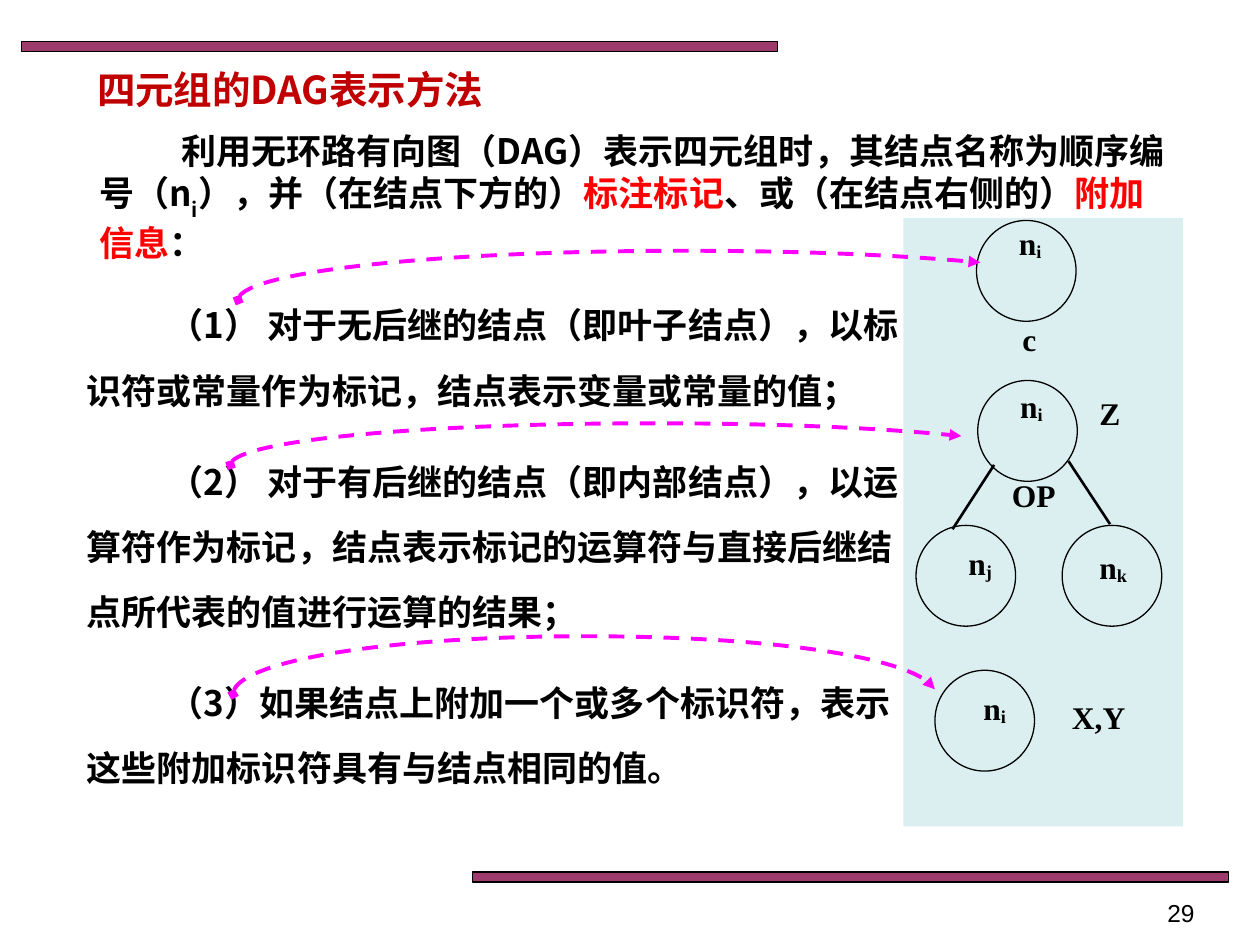
"""Build the slide on representing quadruples as a DAG."""
from itertools import pairwise
from math import acos, cos, pi, sin, tan
from typing import NamedTuple

from lxml.etree import SubElement
from pptx import Presentation
from pptx.dml.color import RGBColor
from pptx.enum.dml import MSO_LINE_DASH_STYLE as Dash
from pptx.enum.shapes import MSO_CONNECTOR as Connector
from pptx.enum.shapes import MSO_SHAPE as Preset
from pptx.enum.text import MSO_ANCHOR as Anchor
from pptx.enum.text import MSO_AUTO_SIZE as AutoSize
from pptx.enum.text import PP_ALIGN as Align
from pptx.oxml.ns import qn
from pptx.util import Inches, Pt

BLACK = RGBColor(0x00, 0x00, 0x00)
RED = RGBColor(0xFF, 0x00, 0x00)
DARK_RED = RGBColor(0xC0, 0x00, 0x00)
PLUM = RGBColor(0x99, 0x33, 0x66)
PALE_TEAL = RGBColor(0xBB, 0xE0, 0xE3)
MAGENTA = RGBColor(0xFF, 0x00, 0xFF)

CHINESE = "Noto Sans CJK SC"
SERIF = "Times New Roman"
NODE_SIZE = (0.79, 0.8)
LABEL_HEIGHT = 0.51


class Span(NamedTuple):
    text: str
    color: RGBColor = BLACK
    baseline: int = 0


class Node(NamedTuple):
    left: float
    top: float


class Label(NamedTuple):
    left: float
    top: float
    width: float
    text: str
    subscript: str = ""


class Arc(NamedTuple):
    left: float
    top: float
    center_x: float
    center_y: float
    end_x: float


class Edge(NamedTuple):
    x1: float
    y1: float
    x2: float
    y2: float


INTRO = [
    Span("利用无环路有向图（DAG）表示四元组时，其结点名称为顺序编号（n"),
    Span("i", baseline=-30),
    Span("），并（在结点下方的）"),
    Span("标注标记", RED),
    Span("、或（在结点右侧的）"),
    Span("附加信息", RED),
    Span("："),
]
RULES = [
    "（1） 对于无后继的结点（即叶子结点），以标识符或常量作为标记，结点表示变量或常量的值；",
    "（2） 对于有后继的结点（即内部结点），以运算符作为标记，"
    "结点表示标记的运算符与直接后继结点所代表的值进行运算的结果；",
    "（3）如果结点上附加一个或多个标识符，表示这些附加标识符具有与结点相同的值。",
]
NODES = [Node(7.75, 1.75), Node(7.42, 5.32), Node(7.76, 3.02), Node(8.43, 4.17), Node(7.27, 4.17)]
LABELS = [
    Label(7.89, 1.73, 0.57, "n", "i"),
    Label(7.92, 2.49, 0.5, "c"),
    Label(7.61, 5.42, 0.57, "n", "i"),
    Label(8.22, 5.49, 1, "X,Y"),
    Label(7.9, 3.02, 0.57, "n", "i"),
    Label(8.56, 3.08, 0.5, "Z"),
    Label(8.57, 4.3, 0.53, "n", "k"),
    Label(7.46, 4.27, 0.64, "n", "j"),
    Label(7.87, 3.73, 0.67, "OP"),
]
EDGES = [Edge(7.89, 3.69, 7.56, 4.2), Edge(8.81, 4.16, 8.48, 3.66)]
ARCS = [
    Arc(1.89, 1.99, 5.46, 2.38, 7.78),
    Arc(1.85, 5.05, 4.64, 5.51, 7.42),
    Arc(1.83, 3.36, 5.2, 3.69, 7.63),
]


def write_text(box, paragraphs: list[list[Span]], *, size: float, font: str = CHINESE,
               bold: bool = True, align=Align.LEFT, indent: float = 0,
               line_spacing: float = 1.0, gap: float = 0) -> None:
    frame = box.text_frame
    frame.word_wrap = True
    frame.auto_size = AutoSize.NONE
    frame.vertical_anchor = Anchor.TOP
    for index, spans in enumerate(paragraphs):
        paragraph = frame.add_paragraph() if index else frame.paragraphs[0]
        paragraph.alignment = align
        paragraph.line_spacing = line_spacing
        paragraph.space_before = Pt(gap if index else 0)
        if indent:
            properties = paragraph._p.get_or_add_pPr()
            properties.set("marL", "0")
            properties.set("indent", str(Inches(indent)))
        for span in spans:
            run = paragraph.add_run()
            run.text = span.text
            run.font.size = Pt(size)
            run.font.bold = bold
            run.font.name = font
            run.font.color.rgb = span.color
            run_properties = run._r.get_or_add_rPr()
            SubElement(run_properties, qn("a:ea"), typeface=font)
            if span.baseline:
                run_properties.set("baseline", str(span.baseline * 1000))


def add_text(shapes, left: float, top: float, width: float, height: float,
             paragraphs: list[list[Span]], **text_format) -> None:
    box = shapes.add_textbox(Inches(left), Inches(top), Inches(width), Inches(height))
    write_text(box, paragraphs, **text_format)


def add_outline(shapes, preset, left: float, top: float, width: float, height: float, *,
                fill: RGBColor | None = None, opacity: int = 100, outlined: bool = True) -> None:
    shape = shapes.add_shape(preset, Inches(left), Inches(top), Inches(width), Inches(height))
    shape.shadow.inherit = False
    if fill is None:
        shape.fill.background()
    else:
        shape.fill.solid()
        shape.fill.fore_color.rgb = fill
        tint = shape._element.spPr.find(qn("a:solidFill"))[0]
        SubElement(tint, qn("a:alpha"), val=str(opacity * 1000))
    if outlined:
        shape.line.color.rgb = BLACK
        shape.line.width = Pt(0.75)
    else:
        shape.line.fill.background()


def add_edge(shapes, edge: Edge) -> None:
    line = shapes.add_connector(Connector.STRAIGHT, *(Inches(value) for value in edge))
    line.line.color.rgb = BLACK
    line.line.width = Pt(1.5)
    SubElement(line._element.spPr, qn("a:effectLst"))


def add_arc(shapes, arc: Arc) -> None:
    radius_x = arc.center_x - arc.left
    radius_y = arc.center_y - arc.top

    def place(angle: float, reach: float = 0) -> tuple[int, int]:
        across = cos(angle) - reach * sin(angle)
        up = sin(angle) + reach * cos(angle)
        return Inches(arc.center_x + radius_x * across), Inches(arc.center_y - radius_y * up)

    angles = [pi, pi / 2, acos((arc.end_x - arc.center_x) / radius_x)]
    builder = shapes.build_freeform(*place(angles[0]))
    builder.add_line_segments([place(angle) for angle in angles[1:]], close=False)
    curve = builder.convert_to_shape()
    outline = curve._element.spPr.find(".//" + qn("a:path"))
    for segment in outline.findall(qn("a:lnTo")):
        outline.remove(segment)
    for start, end in pairwise(angles):
        reach = 4 / 3 * tan((end - start) / 4)
        bend = SubElement(outline, qn("a:cubicBezTo"))
        for x, y in (place(start, reach), place(end, -reach), place(end)):
            SubElement(bend, qn("a:pt"), x=str(x - curve.left), y=str(y - curve.top))

    curve.shadow.inherit = False
    curve.fill.background()
    curve.line.color.rgb = MAGENTA
    curve.line.width = Pt(2.25)
    curve.line.dash_style = Dash.DASH
    stroke = curve._element.spPr.find(qn("a:ln"))
    SubElement(stroke, qn("a:headEnd"), type="diamond")
    SubElement(stroke, qn("a:tailEnd"), type="triangle")


def main() -> None:
    deck = Presentation()
    deck.slide_width, deck.slide_height = Inches(10), Inches(7.5)
    shapes = deck.slides.add_slide(deck.slide_layouts[5]).shapes

    for left, top in ((0.17, 0.33), (3.75, 6.92)):
        add_outline(shapes, Preset.RECTANGLE, left, top, 6, 0.08, fill=PLUM, opacity=96)
    add_text(shapes, 7.25, 7.08, 2.33, 0.27, [[Span("29")]],
             size=14, font="Arial", bold=False, align=Align.RIGHT)

    heading = shapes.title
    heading.left, heading.top = Inches(0.67), Inches(0.47)
    heading.width, heading.height = Inches(4.25), Inches(0.47)
    write_text(heading, [[Span("四元组的DAG表示方法", DARK_RED)]], size=22)

    add_text(shapes, 0.69, 0.98, 8.7, 1.11, [INTRO], size=20, indent=0.65)
    add_text(shapes, 0.59, 2.18, 6.77, 4.22, [[Span(rule)] for rule in RULES],
             size=20, indent=0.65, line_spacing=1.55, gap=15)

    add_outline(shapes, Preset.RECTANGLE, 7.17, 1.73, 2.22, 4.83,
                fill=PALE_TEAL, opacity=50, outlined=False)
    for node in NODES:
        add_outline(shapes, Preset.OVAL, *node, *NODE_SIZE)
    for edge in EDGES:
        add_edge(shapes, edge)
    for label in LABELS:
        spans = [Span(label.text)]
        if label.subscript:
            spans.append(Span(label.subscript, baseline=-10))
        add_text(shapes, label.left, label.top, label.width, LABEL_HEIGHT, [spans],
                 size=18, font=SERIF, align=Align.CENTER)
    for arc in ARCS:
        add_arc(shapes, arc)

    deck.save("out.pptx")


if __name__ == "__main__":
    main()
